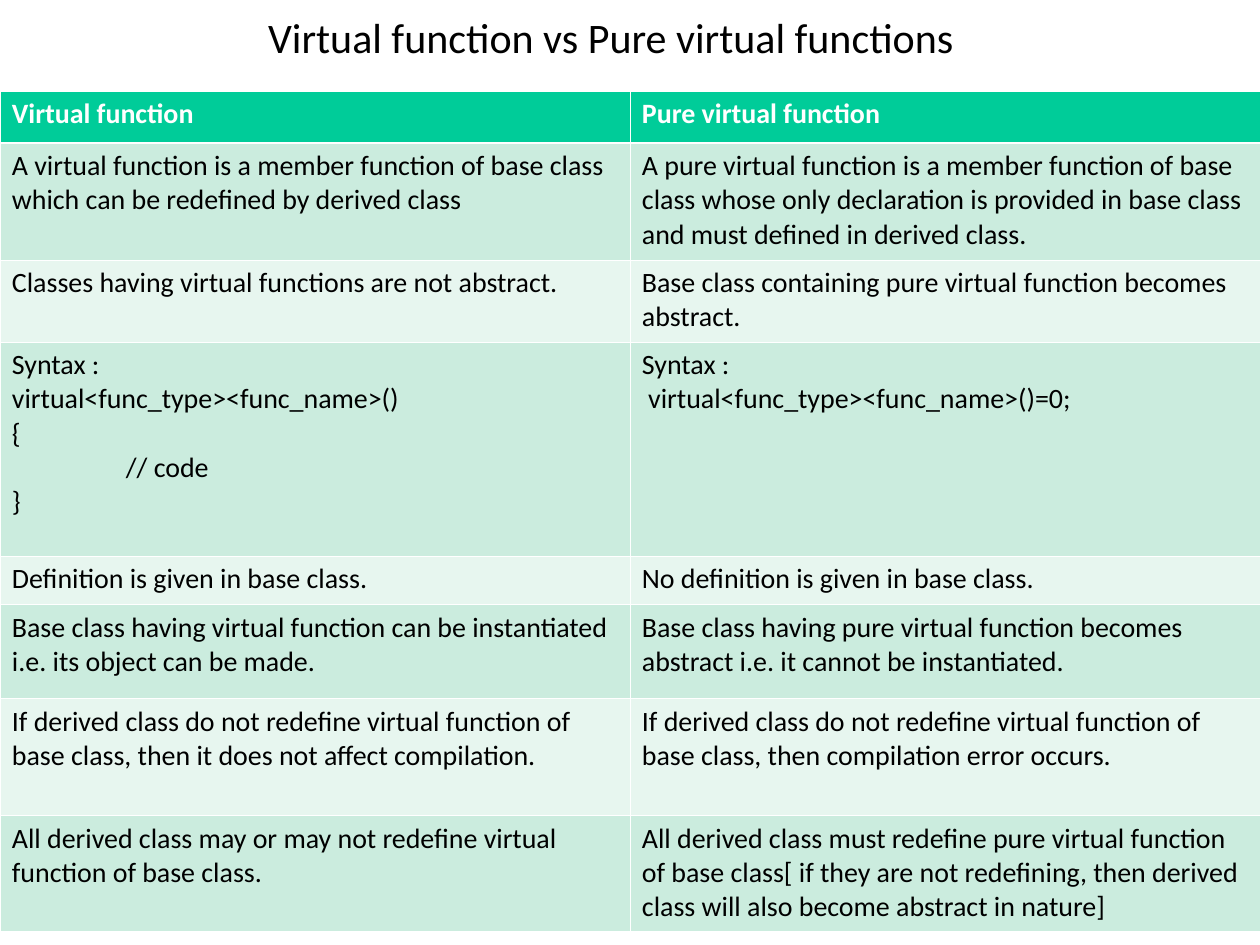
from lxml import etree
from pptx import Presentation
from pptx.dml.color import RGBColor
from pptx.enum.text import MSO_ANCHOR, MSO_AUTO_SIZE, PP_ALIGN
from pptx.oxml.ns import qn
from pptx.util import Pt

MIDDLE, TOP = MSO_ANCHOR.MIDDLE, MSO_ANCHOR.TOP
CENTER = PP_ALIGN.CENTER
NO_AUTOFIT = MSO_AUTO_SIZE.NONE

BLACK = RGBColor(0x00, 0x00, 0x00)
WHITE = RGBColor(0xFF, 0xFF, 0xFF)
GREEN = RGBColor(0x00, 0xCC, 0x99)
BAND_DARK = RGBColor(0xCB, 0xEC, 0xDE)
BAND_LIGHT = RGBColor(0xE7, 0xF6, 0xEF)

FONT = "Calibri"
THIN, THICK = 0.45, 1.47  # border widths in points
TAB_STOP = 114

TITLE = "Virtual function vs Pure virtual functions"

# Row height, left text, right text
ROWS = [
    (52, "Virtual function", "Pure virtual function"),
    (117, "A virtual function is a member function of base class which can be "
          "redefined by derived class",
     "A pure virtual function is a member function of base class whose only "
     "declaration is provided in base class and must defined in derived class."),
    (82, "Classes having virtual functions are not abstract.",
     "Base class containing pure virtual function becomes abstract."),
    (214, "Syntax :\nvirtual<func_type><func_name>()\n{\n\t// code\n}",
     "Syntax :\n virtual<func_type><func_name>()=0;"),
    (49, "Definition is given in base class.",
     "No definition is given in base class."),
    (94, "Base class having virtual function can be instantiated i.e. its object "
         "can be made.",
     "Base class having pure virtual function becomes abstract i.e. it cannot be "
     "instantiated."),
    (117, "If derived class do not redefine virtual function of base class, then "
          "it does not affect compilation.",
     "If derived class do not redefine virtual function of base class, then "
     "compilation error occurs."),
    (116, "All derived class may or may not redefine virtual function of base class.",
     "All derived class must redefine pure virtual function of base class[ if they "
     "are not redefining, then derived class will also become abstract in nature]"),
]


def px(length):
    return round(length * 914400 / 126)


def set_font(para, size, color, bold=False):
    font = para.font
    font.name, font.size, font.bold = FONT, Pt(size), bold
    font.color.rgb = color


def add_tab_stop(para, position):
    tabs = etree.Element(qn("a:tabLst"))
    etree.SubElement(tabs, qn("a:tab"), pos=str(px(position)), algn="l")
    # Tab stops come before the default run properties
    para.font._element.addprevious(tabs)


def set_borders(cell, top, bottom):
    properties = cell._tc.get_or_add_tcPr()
    widths = {"a:lnL": THIN, "a:lnR": THIN, "a:lnT": top, "a:lnB": bottom}
    for index, (tag, width) in enumerate(widths.items()):
        line = etree.Element(qn(tag), w=str(Pt(width)))
        fill = etree.SubElement(line, qn("a:solidFill"))
        etree.SubElement(fill, qn("a:srgbClr"), val=str(WHITE))
        properties.insert(index, line)


def place_title(page, left, top, width, height):
    title = page.shapes.title
    title.left, title.top = px(left), px(top)
    title.width, title.height = px(width), px(height)
    frame = title.text_frame
    frame.text = TITLE
    frame.word_wrap = True
    frame.auto_size = NO_AUTOFIT
    frame.vertical_anchor = MIDDLE
    para = frame.paragraphs[0]
    para.alignment = CENTER
    para.line_spacing = 0.97
    set_font(para, 24, BLACK)


def fill_cell(cell, text, row):
    header = row == 0
    cell.fill.solid()
    cell.fill.fore_color.rgb = (
        GREEN if header else BAND_DARK if row % 2 else BAND_LIGHT)
    set_borders(cell, THICK if row == 1 else THIN, THICK if header else THIN)
    cell.vertical_anchor = TOP
    cell.margin_left = cell.margin_right = px(12)
    cell.margin_top = cell.margin_bottom = px(6)
    cell.text = text
    for para in cell.text_frame.paragraphs:
        set_font(para, 16, WHITE if header else BLACK, header)
        if "\t" in para.text:
            add_tab_stop(para, TAB_STOP)


def place_comparison(page, left, top, width):
    height = sum(row[0] for row in ROWS)
    table = page.shapes.add_table(
        len(ROWS), 2, px(left), px(top), px(width), px(height)).table
    for column in table.columns:
        column.width = px(width // 2)
    for row, (row_height, *texts) in enumerate(ROWS):
        table.rows[row].height = px(row_height)
        for column, text in enumerate(texts):
            fill_cell(table.cell(row, column), text, row)


def main():
    deck = Presentation()
    deck.slide_width, deck.slide_height = px(1260), px(945)
    page = deck.slides.add_slide(deck.slide_layouts[5])  # title only
    place_title(page, 53, -32, 1116, 141)
    place_comparison(page, 0, 91, 1260)
    deck.save("out.pptx")


if __name__ == "__main__":
    main()
